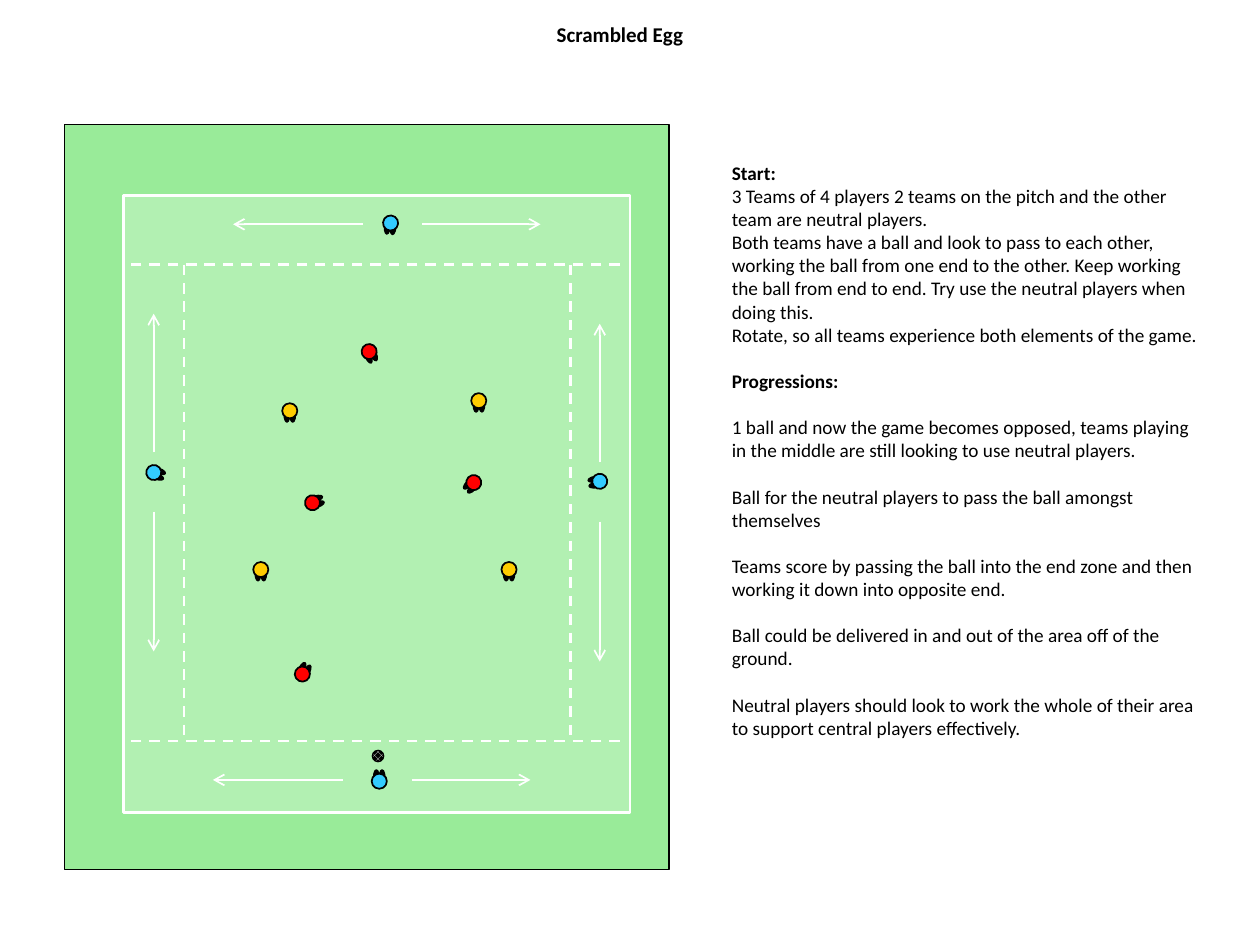
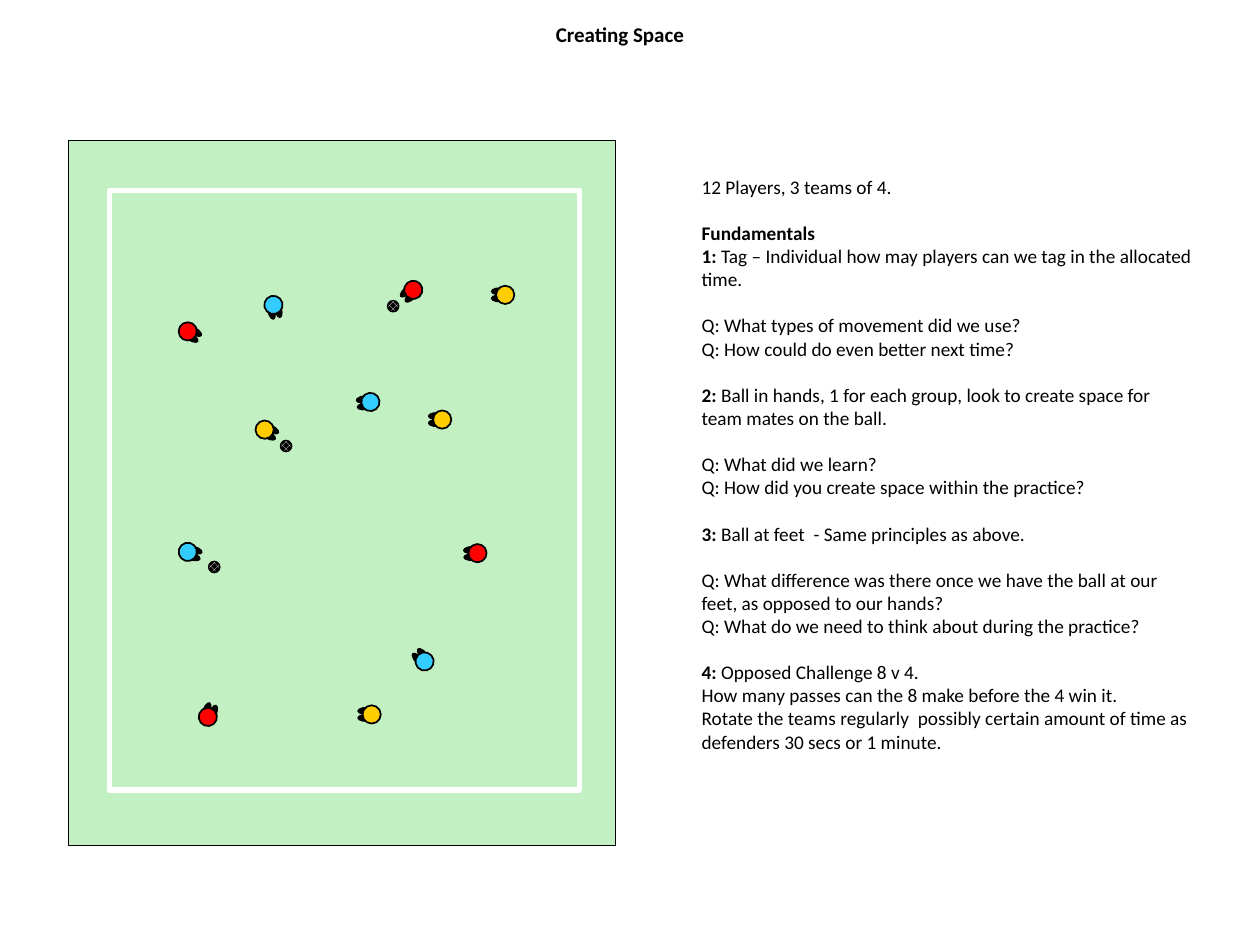
from math import cos, radians, sin

from lxml.etree import SubElement
from pptx import Presentation
from pptx.dml.color import RGBColor
from pptx.enum.dml import MSO_LINE, MSO_PATTERN
from pptx.enum.shapes import MSO_CONNECTOR, MSO_SHAPE
from pptx.enum.text import PP_ALIGN
from pptx.oxml.ns import qn
from pptx.util import Inches, Pt

# Shared look
FONT = "Calibri"
BLACK, WHITE = "000000", "FFFFFF"
TEAM_COLORS = {"blue": "33CCFF", "red": "FF0000", "yellow": "FFCC00"}
BALL_SIZE = 0.09
LINE_GAP = Pt(13.2)  # one empty line of body text
hex_color = RGBColor.from_string


def add_area(slide, kind, box, fill, line, line_width, rotation=0):
    shape = slide.shapes.add_shape(kind, *[Inches(value) for value in box])
    shape.shadow.inherit = False
    shape.rotation = rotation
    if fill:
        shape.fill.solid()
        shape.fill.fore_color.rgb = hex_color(fill)
    else:
        shape.fill.background()
    shape.line.color.rgb = hex_color(line)
    shape.line.width = Pt(line_width)
    return shape


def add_pitch_line(slide, start, end, width):
    connector = slide.shapes.add_connector(
        MSO_CONNECTOR.STRAIGHT, *[Inches(value) for value in start + end])
    connector.line.color.rgb = hex_color(WHITE)
    connector.line.width = Pt(width)
    SubElement(connector._element.spPr, qn("a:effectLst"))
    return connector


# Areas are (box, fill, line, line width), players (center x, center y, rotation).
# Text paragraphs are (empty line before, bold part, plain part).
drills = [
    {
        "title": "Scrambled Egg",
        "areas": [((0.51, 0.99, 4.8, 5.91), "99EB99", BLACK, 0.75),
                  ((0.98, 1.55, 4.02, 4.9), "B2F0B2", WHITE, 1.5)],
        "dashes": [((4.92, 5.88), (0.98, 5.88)), ((4.92, 2.1), (0.98, 2.1)),
                   ((1.46, 2.1), (1.46, 5.88)), ((4.53, 2.1), (4.53, 5.88))],
        "arrows": [((4.76, 3.67), (4.76, 2.57)), ((4.76, 4.14), (4.76, 5.25)),
                   ((1.22, 3.59), (1.22, 2.49)), ((1.22, 4.06), (1.22, 5.17)),
                   ((3.35, 1.78), (4.29, 1.78)), ((2.88, 1.78), (1.85, 1.78)),
                   ((2.72, 6.19), (1.69, 6.19)), ((3.27, 6.19), (4.21, 6.19))],
        "player_size": 0.12,
        "players": {
            "blue": [(3.01, 6.2, 0), (4.76, 3.82, 260), (1.22, 3.75, 109), (3.1, 1.77, 185)],
            "red": [(2.93, 2.79, 156), (2.48, 3.99, 73), (3.76, 3.83, 224), (2.4, 5.35, 27)],
            "yellow": [(2.07, 4.52, 180), (3.8, 3.18, 179), (2.3, 3.26, 180), (4.04, 4.52, 180)],
        },
        "balls": [(3, 6)],
        "text_box": (5.71, 1.23, 3.91, 5.47),
        "text": [
            (False, "Start:", ""),
            (False, "", "3 Teams of 4 players 2 teams on the pitch and the other team are neutral players."),
            (False, "", "Both teams have a ball and look to pass to each other, working the ball from one "
                        "end to the other. Keep working the ball from end to end. Try use the neutral "
                        "players when doing this."),
            (False, "", "Rotate, so all teams experience both elements of the game."),
            (True, "Progressions:", ""),
            (True, "", "1 ball and now the game becomes opposed, teams playing in the middle are still "
                       "looking to use neutral players."),
            (True, "", "Ball for the neutral players to pass the ball amongst themselves"),
            (True, "", "Teams score by passing the ball into the end zone and then working it down into "
                       "opposite end."),
            (True, "", "Ball could be delivered in and out of the area off of the ground."),
            (True, "", "Neutral players should look to work the whole of their area to support central "
                       "players effectively."),
        ],
    },
    {
        "title": "Creating Space",
        "areas": [((0.54, 1.11, 4.34, 5.6), "C2F0C2", BLACK, 0.25),
                  ((0.87, 1.51, 3.73, 4.76), None, WHITE, 3)],
        "dashes": [],
        "arrows": [],
        "player_size": 0.145,
        "players": {
            "blue": [(3.37, 5.25, 318), (2.17, 2.42, 166), (2.94, 3.19, 262), (1.49, 4.38, 106)],
            "red": [(1.65, 5.69, 21), (3.28, 2.3, 228), (1.49, 2.63, 121), (3.79, 4.39, 267)],
            "yellow": [(2.95, 5.67, 270), (4.01, 2.34, 270), (3.51, 3.33, 270), (2.1, 3.41, 117)],
        },
        "balls": [(2.27, 3.54), (3.12, 2.43), (1.7, 4.5)],
        "text_box": (5.47, 1.34, 4.1, 4.9),
        "text": [
            (False, "", "12 Players, 3 teams of 4."),
            (True, "Fundamentals", ""),
            (False, "1:", " Tag – Individual how may players can we tag in the allocated time."),
            (True, "", "Q: What types of movement did we use?"),
            (False, "", "Q: How could do even better next time?"),
            (True, "2:", " Ball in hands, 1 for each group, look to create space for team mates on the ball."),
            (True, "", "Q: What did we learn?"),
            (False, "", "Q: How did you create space within the practice?"),
            (True, "3:", " Ball at feet  - Same principles as above."),
            (True, "", "Q: What difference was there once we have the ball at our feet, as opposed to our hands?"),
            (False, "", "Q: What do we need to think about during the practice?"),
            (True, "4:", " Opposed Challenge 8 v 4."),
            (False, "", "How many passes can the 8 make before the 4 win it."),
            (False, "", "Rotate the teams regularly  possibly certain amount of time as defenders 30 secs "
                        "or 1 minute."),
        ],
    },
]

presentation = Presentation()
presentation.slide_width = Inches(10)
presentation.slide_height = Inches(7.5)

for drill in drills:
    slide = presentation.slides.add_slide(presentation.slide_layouts[6])

    # Title
    title_box = slide.shapes.add_textbox(Inches(3.03), Inches(0.13), Inches(3.78), Inches(0.39))
    title_frame = title_box.text_frame
    title_frame.word_wrap = True
    title_frame.margin_left = title_frame.margin_right = Inches(0.04)
    title_frame.margin_top = title_frame.margin_bottom = Inches(0.04)
    title_frame.text = drill["title"]
    paragraph = title_frame.paragraphs[0]
    paragraph.alignment = PP_ALIGN.CENTER
    font = paragraph.runs[0].font
    font.name, font.size, font.bold = FONT, Pt(12), True
    font.color.rgb = hex_color(BLACK)

    # Pitch and its markings
    for box, fill, line, line_width in drill["areas"]:
        add_area(slide, MSO_SHAPE.RECTANGLE, box, fill, line, line_width)
    for start, end in drill["dashes"]:
        add_pitch_line(slide, start, end, 1.5).line.dash_style = MSO_LINE.DASH

    # Players: two feet ahead of the body, turned with it
    size = drill["player_size"]
    foot_width, forward, sideways = size * 0.38, size * 0.25, size * 0.19
    for team, players in drill["players"].items():
        for x, y, rotation in players:
            angle = radians(rotation)
            for side in (-sideways, sideways):
                foot_x = x + forward * sin(angle) + side * cos(angle)
                foot_y = y - forward * cos(angle) + side * sin(angle)
                foot_box = (foot_x - foot_width / 2, foot_y - size / 2, foot_width, size)
                add_area(slide, MSO_SHAPE.OVAL, foot_box, BLACK, BLACK, 0.75, rotation)
            body_box = (x - size / 2, y - size / 2, size, size)
            add_area(slide, MSO_SHAPE.OVAL, body_box, TEAM_COLORS[team], BLACK, 1, rotation)

    # Balls
    for x, y in drill["balls"]:
        ball_box = (x - BALL_SIZE / 2, y - BALL_SIZE / 2, BALL_SIZE, BALL_SIZE)
        ball = add_area(slide, MSO_SHAPE.OVAL, ball_box, BLACK, BLACK, 0.75)
        ball.fill.patterned()
        ball.fill.pattern = MSO_PATTERN.SOLID_DIAMOND
        ball.fill.fore_color.rgb = hex_color(WHITE)
        ball.fill.back_color.rgb = hex_color(BLACK)

    # Movement arrows
    for start, end in drill["arrows"]:
        arrow = add_pitch_line(slide, start, end, 1)
        SubElement(arrow.line._get_or_add_ln(), qn("a:tailEnd"), type="arrow")

    # Instructions
    text_box = slide.shapes.add_textbox(*[Inches(value) for value in drill["text_box"]])
    text_frame = text_box.text_frame
    text_frame.word_wrap = True
    for index, (gap, bold_part, plain_part) in enumerate(drill["text"]):
        paragraph = text_frame.add_paragraph() if index else text_frame.paragraphs[0]
        if gap:
            paragraph.space_before = LINE_GAP
        for part, bold in ((bold_part, True), (plain_part, False)):
            if part:
                run = paragraph.add_run()
                run.text = part
                run.font.name, run.font.size, run.font.bold = FONT, Pt(11), bold
                run.font.color.rgb = hex_color(BLACK)

presentation.save("out.pptx")
